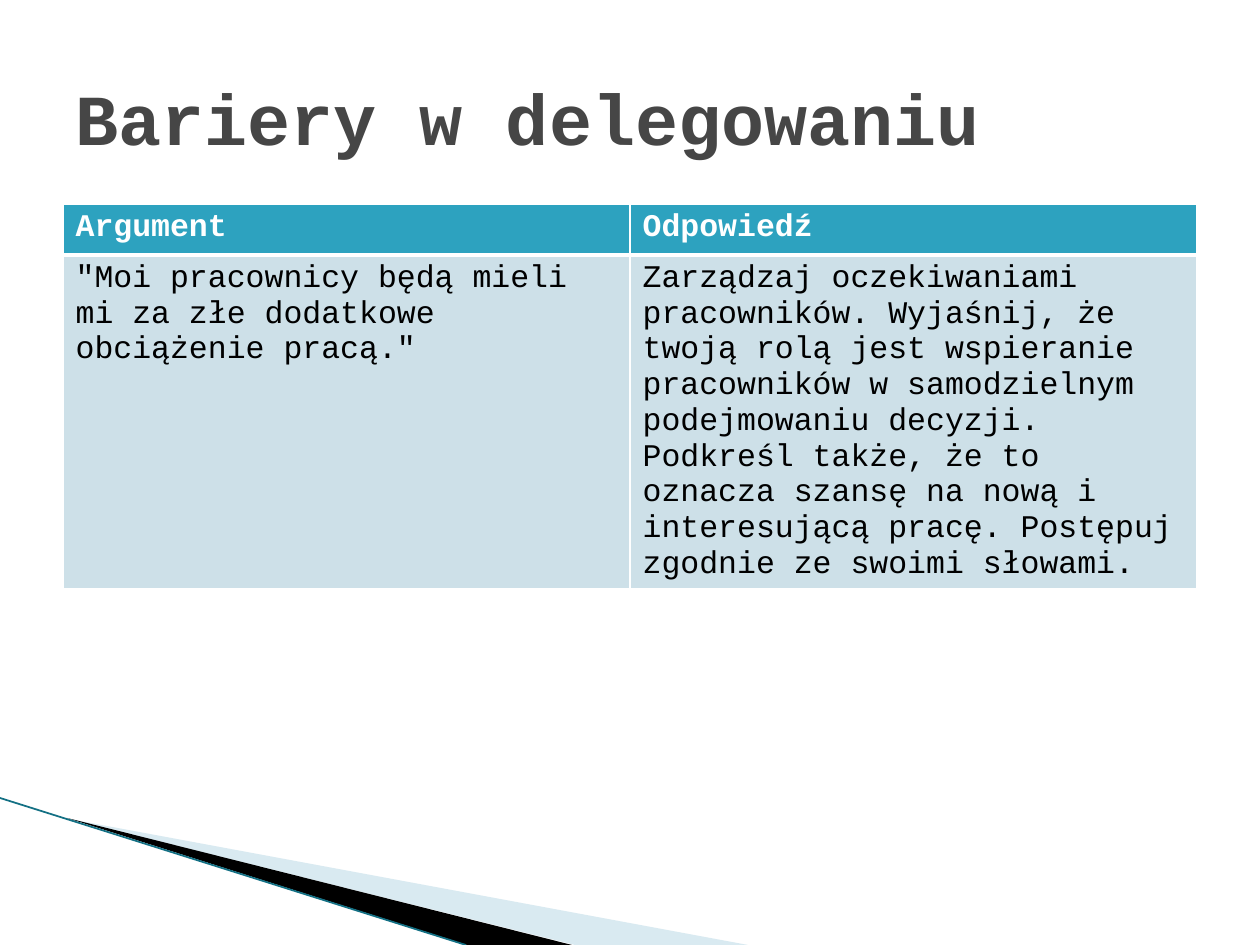
from dataclasses import dataclass
from typing import Any, Optional

from lxml.etree import SubElement
from pptx import Presentation
from pptx.dml.color import RGBColor
from pptx.enum.text import MSO_ANCHOR, MSO_AUTO_SIZE, PP_ALIGN
from pptx.oxml import parse_xml
from pptx.oxml.ns import nsdecls, qn
from pptx.util import Emu, Pt

EMU_PER_INCH = 914400
PX_PER_INCH = 126
SLIDE_WIDTH, SLIDE_HEIGHT = 1260, 945
FONT = "Courier New"
WHITE = "FFFFFF"
BLACK = "000000"
HEADER_BORDERS = {"L": 1, "R": 1, "T": 1, "B": 3}
BODY_BORDERS = {"L": 1, "R": 1, "T": 3, "B": 1}


@dataclass(frozen=True)
class Wedge:
    points: tuple[tuple[int, int], ...]
    color: str
    opacity: Optional[int] = None


@dataclass(frozen=True)
class TableRow:
    texts: tuple[str, ...]
    height: int
    fill: str
    color: str
    bold: bool
    borders: dict[str, int]


WEDGES = (
    Wedge(((69, 819), (748, 945), (575, 945)), "A0CBDC", 40),
    Wedge(((67, 818), (572, 945), (467, 945)), BLACK),
)

ROWS = (
    TableRow(("Argument", "Odpowiedź"), 51, "2DA2BF", WHITE, True, HEADER_BORDERS),
    TableRow(
        (
            '"Moi pracownicy będą mieli mi za złe dodatkowe obciążenie pracą."',
            "Zarządzaj oczekiwaniami pracowników. Wyjaśnij, że twoją rolą jest "
            "wspieranie pracowników w samodzielnym podejmowaniu decyzji. "
            "Podkreśl także, że to oznacza szansę na nową i interesującą pracę. "
            "Postępuj zgodnie ze swoimi słowami.",
        ),
        333, "CDE0E8", BLACK, False, BODY_BORDERS,
    ),
)


def px(length: int) -> Emu:
    return Emu(round(length * EMU_PER_INCH / PX_PER_INCH))


def rgb(color: str) -> RGBColor:
    return RGBColor.from_string(color)


def set_values(target: Any, values: dict[str, Any]) -> None:
    for name, value in values.items():
        setattr(target, name, value)


def write_text(frame: Any, text: str, size: int, color: str, bold: bool) -> None:
    para = frame.paragraphs[0]
    para.alignment = PP_ALIGN.LEFT
    span = para.add_run()
    span.text = text
    set_values(span.font, {"name": FONT, "size": Pt(size), "bold": bold})
    span.font.color.rgb = rgb(color)


def draw_wedge(page: Any, wedge: Wedge) -> None:
    start, *others = [(px(x), px(y)) for x, y in wedge.points]
    builder = page.shapes.build_freeform(*start)
    builder.add_line_segments(others, close=True)
    shape = builder.convert_to_shape()
    shape.shadow.inherit = False
    shape.fill.solid()
    shape.fill.fore_color.rgb = rgb(wedge.color)
    shape.line.fill.background()
    if wedge.opacity is not None:
        color = shape.fill._xPr.find(qn("a:solidFill"))[0]
        SubElement(color, qn("a:alpha"), val=str(wedge.opacity * 1000))


def draw_edge(page: Any) -> None:
    edge = page.shapes.add_connector(1, px(0), px(798), px(466), px(945))
    edge.line.color.rgb = rgb("137084")
    edge.line.width = Pt(1)
    SubElement(edge._element.spPr, qn("a:effectLst"))


def add_title(page: Any) -> None:
    title = page.shapes.title
    set_values(title, {"left": px(63), "top": px(38), "width": px(1134), "height": px(158)})
    set_values(title.text_frame, {
        "word_wrap": True,
        "auto_size": MSO_AUTO_SIZE.NONE,
        "vertical_anchor": MSO_ANCHOR.MIDDLE,
    })
    write_text(title.text_frame, "Bariery w delegowaniu", 41, "464646", True)


def set_borders(cell: Any, borders: dict[str, int]) -> None:
    properties = cell._tc.get_or_add_tcPr()
    for index, (side, width) in enumerate(borders.items()):
        properties.insert(index, parse_xml(
            f'<a:ln{side} {nsdecls("a")} w="{Pt(width)}"><a:solidFill>'
            f'<a:srgbClr val="{WHITE}"/></a:solidFill></a:ln{side}>'
        ))


def add_arguments_table(page: Any) -> None:
    height = sum(row.height for row in ROWS)
    frame = page.shapes.add_table(
        len(ROWS), len(ROWS[0].texts), px(63), px(204), px(1134), px(height)
    )
    table = frame.table
    for row_index, row in enumerate(ROWS):
        table.rows[row_index].height = px(row.height)
        for column_index, text in enumerate(row.texts):
            cell = table.cell(row_index, column_index)
            cell.fill.solid()
            cell.fill.fore_color.rgb = rgb(row.fill)
            set_borders(cell, row.borders)
            write_text(cell.text_frame, text, 18, row.color, row.bold)


def main() -> None:
    deck = Presentation()
    set_values(deck, {"slide_width": px(SLIDE_WIDTH), "slide_height": px(SLIDE_HEIGHT)})
    page = deck.slides.add_slide(deck.slide_layouts[5])
    for wedge in WEDGES:
        draw_wedge(page, wedge)
    draw_edge(page)
    add_arguments_table(page)
    add_title(page)
    deck.save("out.pptx")


if __name__ == "__main__":
    main()
